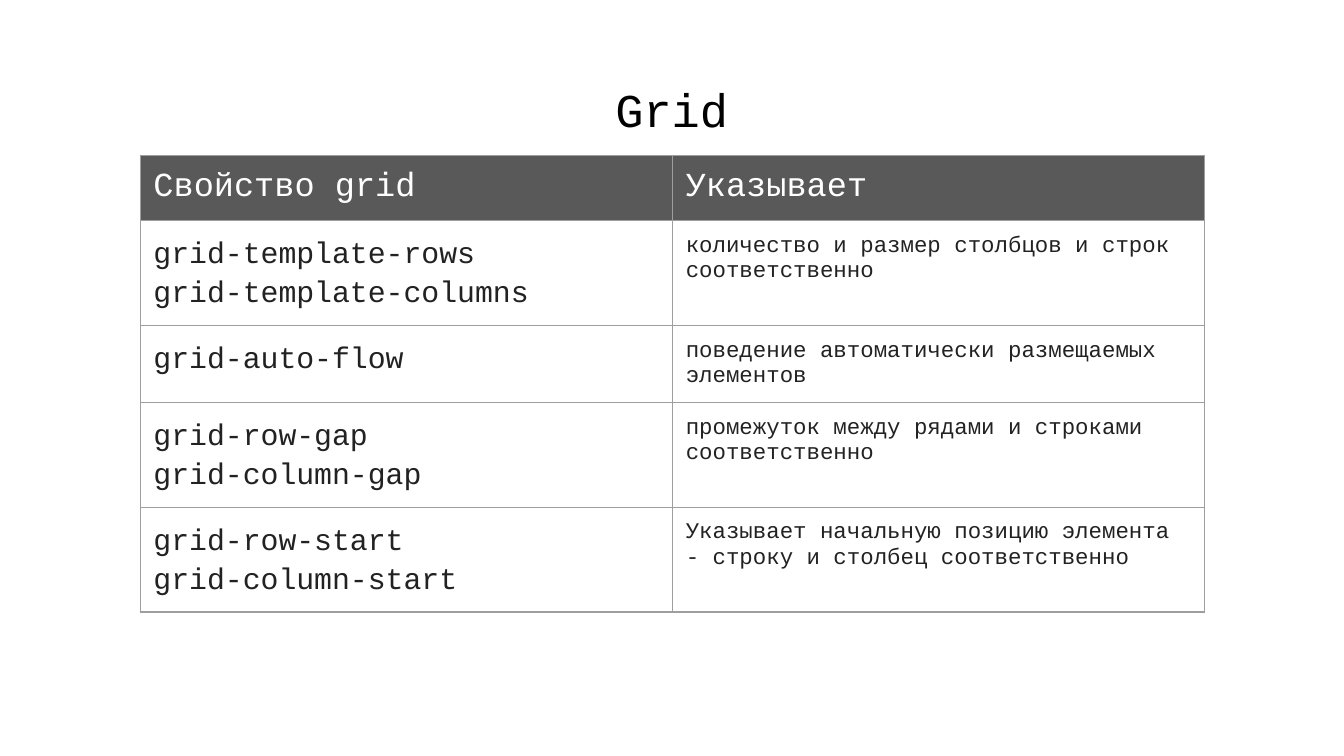
from copy import deepcopy
from dataclasses import dataclass

from lxml import etree
from pptx import Presentation
from pptx.dml.color import RGBColor
from pptx.enum.text import MSO_ANCHOR, MSO_AUTO_SIZE, PP_ALIGN
from pptx.oxml.ns import qn
from pptx.util import Cm, Pt

CENTER = PP_ALIGN.CENTER
LEFT = PP_ALIGN.LEFT
TOP = MSO_ANCHOR.TOP
BOTTOM = MSO_ANCHOR.BOTTOM
NO_AUTOFIT = MSO_AUTO_SIZE.NONE

FONT = "Courier New"
BLACK = "000000"
WHITE = "FFFFFF"
HEADER_FILL = "595959"
BODY_COLOR = "222222"
BORDER_COLOR = "9E9E9E"
BORDER_WIDTH = Pt(0.75)
MARGIN = Cm(0.25)
TITLE_ONLY = 5

PLAIN = {"alignment": LEFT}
SPACED = {
    "alignment": LEFT,
    "line_spacing": 1.15,
    "space_before": Pt(12),
    "space_after": Pt(12),
}


@dataclass(frozen=True)
class TextStyle:
    size: float
    color: str
    paragraph_format: dict


@dataclass(frozen=True)
class PropertyRow:
    names: str
    meaning: str
    height: float


HEADER_STYLE = TextStyle(18, WHITE, PLAIN)
NAME_STYLE = TextStyle(16, BODY_COLOR, SPACED)
MEANING_STYLE = TextStyle(12, BODY_COLOR, PLAIN)
TITLE_STYLE = TextStyle(25.2, BLACK, {"alignment": CENTER, "space_before": Pt(0)})

ROWS = [
    PropertyRow("Свойство grid", "Указывает", 1.23),
    PropertyRow(
        "grid-template-rows\vgrid-template-columns",
        "количество и размер столбцов и строк соответственно",
        1.98,
    ),
    PropertyRow(
        "grid-auto-flow",
        "поведение автоматически размещаемых элементов",
        1.45,
    ),
    PropertyRow(
        "grid-row-gap\vgrid-column-gap",
        "промежуток между рядами и строками соответственно",
        1.98,
    ),
    PropertyRow(
        "grid-row-start\vgrid-column-start",
        "Указывает начальную позицию элемента - строку и столбец соответственно",
        1.98,
    ),
]


def rgb(color: str) -> RGBColor:
    return RGBColor.from_string(color)


def set_attributes(target, values: dict) -> None:
    for name, value in values.items():
        setattr(target, name, value)


def write_text(text_frame, text: str, style: TextStyle) -> None:
    paragraph = text_frame.paragraphs[0]
    paragraph.text = text
    set_attributes(paragraph, style.paragraph_format)
    for run in paragraph.runs:
        set_attributes(run.font, {"name": FONT, "size": Pt(style.size), "bold": False})
        run.font.color.rgb = rgb(style.color)
    run_properties = paragraph.runs[0].font._element
    for line_break in paragraph._p.findall(qn("a:br")):
        line_break.append(deepcopy(run_properties))


def add_borders(cell) -> None:
    properties = cell._tc.get_or_add_tcPr()
    for position, side in enumerate(("lnL", "lnR", "lnT", "lnB")):
        line = etree.Element(qn(f"a:{side}"), w=str(BORDER_WIDTH))
        fill = etree.SubElement(line, qn("a:solidFill"))
        etree.SubElement(fill, qn("a:srgbClr"), val=BORDER_COLOR)
        properties.insert(position, line)


def format_cell(cell, text: str, style: TextStyle, is_header: bool) -> None:
    margins = ("margin_left", "margin_right", "margin_top", "margin_bottom")
    set_attributes(cell, dict.fromkeys(margins, MARGIN))
    cell.vertical_anchor = TOP
    if is_header:
        cell.fill.solid()
        cell.fill.fore_color.rgb = rgb(HEADER_FILL)
    else:
        cell.fill.background()
    write_text(cell.text_frame, text, style)
    add_borders(cell)


def add_title(slide, text: str) -> None:
    title = slide.shapes.title
    set_attributes(
        title,
        {"left": Cm(0.86), "top": Cm(1.24), "width": Cm(23.67), "height": Cm(1.6)},
    )
    set_attributes(
        title.text_frame,
        {
            "margin_left": MARGIN,
            "margin_right": MARGIN,
            "margin_top": MARGIN,
            "margin_bottom": MARGIN,
            "vertical_anchor": BOTTOM,
            "word_wrap": True,
            "auto_size": NO_AUTOFIT,
        },
    )
    write_text(title.text_frame, text, TITLE_STYLE)


def add_property_table(slide, rows: list[PropertyRow]) -> None:
    height = sum(row.height for row in rows)
    table = slide.shapes.add_table(
        len(rows), 2, Cm(2.65), Cm(2.94), Cm(20.12), Cm(height)
    ).table
    set_attributes(table, {"first_row": False, "horz_banding": False})
    for index, row in enumerate(rows):
        is_header = index == 0
        table.rows[index].height = Cm(row.height)
        name_style = HEADER_STYLE if is_header else NAME_STYLE
        meaning_style = HEADER_STYLE if is_header else MEANING_STYLE
        format_cell(table.cell(index, 0), row.names, name_style, is_header)
        format_cell(table.cell(index, 1), row.meaning, meaning_style, is_header)


def main() -> None:
    presentation = Presentation()
    presentation.slide_width = Cm(25.4)
    presentation.slide_height = Cm(14.29)
    slide = presentation.slides.add_slide(presentation.slide_layouts[TITLE_ONLY])
    add_title(slide, "Grid")
    add_property_table(slide, ROWS)
    presentation.save("out.pptx")


if __name__ == "__main__":
    main()
